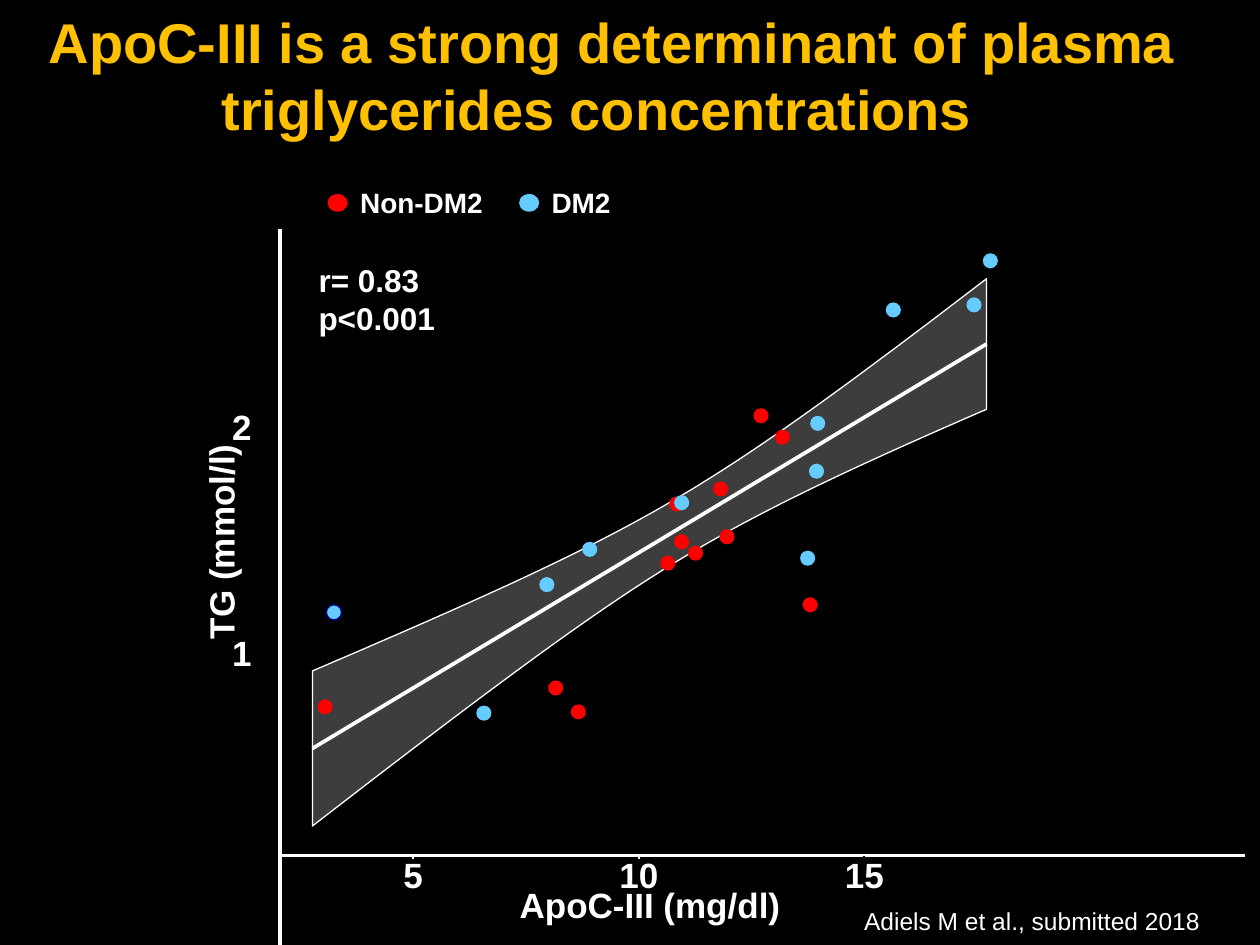
from math import sqrt

from lxml import etree
from pptx import Presentation
from pptx.dml.color import RGBColor
from pptx.enum.shapes import MSO_CONNECTOR, MSO_SHAPE
from pptx.enum.text import MSO_ANCHOR, MSO_AUTO_SIZE, PP_ALIGN
from pptx.oxml.ns import qn
from pptx.util import Inches, Pt

STRAIGHT = MSO_CONNECTOR.STRAIGHT
OVAL, RECTANGLE = MSO_SHAPE.OVAL, MSO_SHAPE.RECTANGLE
TOP, MIDDLE = MSO_ANCHOR.TOP, MSO_ANCHOR.MIDDLE
LEFT, CENTER = PP_ALIGN.LEFT, PP_ALIGN.CENTER
FIT_SHAPE = MSO_AUTO_SIZE.SHAPE_TO_FIT_TEXT

FONT = "Arial"
BLACK, WHITE, GOLD = "000000", "FFFFFF", "FFC000"
RED, SKY, NAVY, GREY = "FF0000", "66CCFF", "000099", "999999"

DOT = 0.12
NON_DM2 = [
    (5.98, 3.24), (4.53, 5.59), (4.35, 5.4), (6.37, 4.74), (5.46, 4.33),
    (5.71, 4.2), (2.52, 5.55), (5.31, 3.94), (5.66, 3.82), (5.35, 4.24),
    (5.24, 4.41), (6.15, 3.41),
]
DM2 = [
    (7.03, 2.4), (3.78, 5.6), (7.8, 2.01), (6.35, 4.37), (4.62, 4.3),
    (5.35, 3.93), (4.28, 4.58), (6.42, 3.68), (6.43, 3.3), (7.67, 2.36),
]
DM2_OUTLINED = (2.59, 4.8)

FIT_START, FIT_END, FIT_STEPS = 2.48, 7.83, 79
FIT_TOP, FIT_SLOPE = 5.94, -0.6
BAND_CENTER, BAND_MIN, BAND_SPREAD = 5.44, 0.25, 0.19
AXIS_X, AXIS_Y = 2.22, 6.79


def color(value):
    return RGBColor.from_string(value)


def add_run(paragraph, text, size, fill, bold=True):
    run = paragraph.add_run()
    run.text = text
    run.font.name = FONT
    run.font.size = Pt(size)
    run.font.bold = bold
    run.font.color.rgb = color(fill)


def add_title(slide):
    title = slide.shapes.title
    title.left, title.top = Inches(-0.2), Inches(0.01)
    title.width, title.height = Inches(10), Inches(1.18)
    frame = title.text_frame
    frame.vertical_anchor = TOP
    frame.auto_size = FIT_SHAPE
    heading = frame.paragraphs[0]
    heading.alignment = CENTER
    add_run(heading, " ", 32, WHITE)
    add_run(heading, "ApoC-III is a strong determinant of plasma "
            "triglycerides concentrations ", 32, GOLD)


def fill_text(box, lines, size, bold=True, wrap=False):
    frame = box.text_frame
    frame.word_wrap = wrap
    frame.auto_size = FIT_SHAPE
    frame.vertical_anchor = TOP
    for index, line in enumerate(lines):
        paragraph = frame.add_paragraph() if index else frame.paragraphs[0]
        paragraph.alignment = LEFT
        add_run(paragraph, line, size, WHITE, bold)


def add_statistics(slide):
    panel = slide.shapes.add_shape(
        RECTANGLE, *map(Inches, (2.43, 2.02, 1.13, 0.71)))
    panel.shadow.inherit = False
    panel.fill.solid()
    panel.fill.fore_color.rgb = color(BLACK)
    panel.line.color.rgb = color(BLACK)
    panel.line.width = Pt(0.75)
    fill_text(panel, ["r= 0.83", "p<0.001"], 18)


def add_citation(slide):
    citation = slide.shapes.add_textbox(
        *map(Inches, (6.76, 7.14, 3.2, 0.34)))
    fill_text(citation, ["Adiels M et al., submitted 2018"], 14,
              bold=False, wrap=True)


def add_axis_label(slide, center, width, text, spacing, rotation=0):
    height = 0.2
    x, y = center
    box = slide.shapes.add_textbox(
        *map(Inches, (x - width / 2, y - height / 2, width, height)))
    box.rotation = rotation
    frame = box.text_frame
    frame.word_wrap = True
    frame.vertical_anchor = MIDDLE
    frame.margin_left = frame.margin_right = 0
    frame.margin_top = frame.margin_bottom = 0
    label = frame.paragraphs[0]
    label.alignment = CENTER
    label.line_spacing = Pt(spacing)
    add_run(label, text, 20, WHITE)


def add_line(slide, start, end, width, stroke=WHITE):
    line = slide.shapes.add_connector(STRAIGHT, *map(Inches, start + end))
    line.line.color.rgb = color(stroke)
    line.line.width = Pt(width)
    etree.SubElement(line._element.spPr, qn("a:effectLst"))


def add_dot(slide, position, fill, size=(DOT, DOT), outline=None):
    dot = slide.shapes.add_shape(OVAL, *map(Inches, position + size))
    dot.shadow.inherit = False
    dot.fill.solid()
    dot.fill.fore_color.rgb = color(fill)
    if outline:
        dot.line.color.rgb = color(outline)
        dot.line.width = Pt(0.71)
    else:
        dot.line.fill.background()


def fit_y(x):
    return FIT_TOP + FIT_SLOPE * (x - FIT_START)


def half_band(x):
    return sqrt(BAND_MIN ** 2 + (BAND_SPREAD * (x - BAND_CENTER)) ** 2)


def add_confidence_band(slide):
    step = (FIT_END - FIT_START) / FIT_STEPS
    xs = [FIT_START + step * index for index in range(FIT_STEPS + 1)]
    upper = [(x, fit_y(x) - half_band(x)) for x in xs]
    lower = [(x, fit_y(x) + half_band(x)) for x in reversed(xs)]
    outline = [(Inches(x), Inches(y)) for x, y in upper + lower]
    builder = slide.shapes.build_freeform(*outline[0])
    builder.add_line_segments(outline[1:], close=True)
    band = builder.convert_to_shape()
    band.shadow.inherit = False
    band.fill.solid()
    band.fill.fore_color.rgb = color(GREY)
    tint = band._element.spPr.find(qn("a:solidFill"))[0]
    etree.SubElement(tint, qn("a:alpha"), val="40000")
    band.line.color.rgb = color(WHITE)
    band.line.width = Pt(0.75)


def add_axes(slide):
    add_line(slide, (AXIS_X, 7.5), (AXIS_X, 1.82), 2.25)
    add_line(slide, (AXIS_X, AXIS_Y), (9.88, AXIS_Y), 2.25)
    for index, stroke in enumerate((WHITE, WHITE, BLACK)):
        x = 3.28 + 1.79 * index
        add_line(slide, (x, AXIS_Y), (x, AXIS_Y + 0.03), 1.07, stroke)
        add_axis_label(slide, (x, 7.02), 0.4, str(5 * (index + 1)), 12)
    for value in (1, 2):
        add_axis_label(slide, (1.92, 7.05 - 1.79 * value), 0.2,
                       str(value), 12)
    add_axis_label(slide, (5.16, 7.25), 2.2, "ApoC-III (mg/dl)", 14)
    add_axis_label(slide, (1.82, 4.3), 1.7, "TG (mmol/l)", 14, 270)


def add_legend(slide):
    for x, width, group, fill in ((2.6, 1.19, "Non-DM2", RED),
                                  (4.12, 0.7, "DM2", SKY)):
        add_dot(slide, (x, 1.54), fill, (0.16, 0.14))
        caption = slide.shapes.add_textbox(
            *map(Inches, (x + 0.16, 1.42, width, 0.37)))
        fill_text(caption, [group], 16)


def main():
    deck = Presentation()
    deck.slide_width, deck.slide_height = Inches(10), Inches(7.5)
    slide = deck.slides.add_slide(deck.slide_layouts[5])
    slide.background.fill.solid()
    slide.background.fill.fore_color.rgb = color(BLACK)

    add_title(slide)
    add_confidence_band(slide)
    add_line(slide, (FIT_START, fit_y(FIT_START)),
             (FIT_END, fit_y(FIT_END)), 2.13)
    add_axes(slide)
    for positions, fill in ((NON_DM2, RED), (DM2, SKY)):
        for position in positions:
            add_dot(slide, position, fill)
    add_dot(slide, DM2_OUTLINED, SKY, outline=NAVY)
    add_statistics(slide)
    add_citation(slide)
    add_legend(slide)
    deck.save("out.pptx")


if __name__ == "__main__":
    main()
